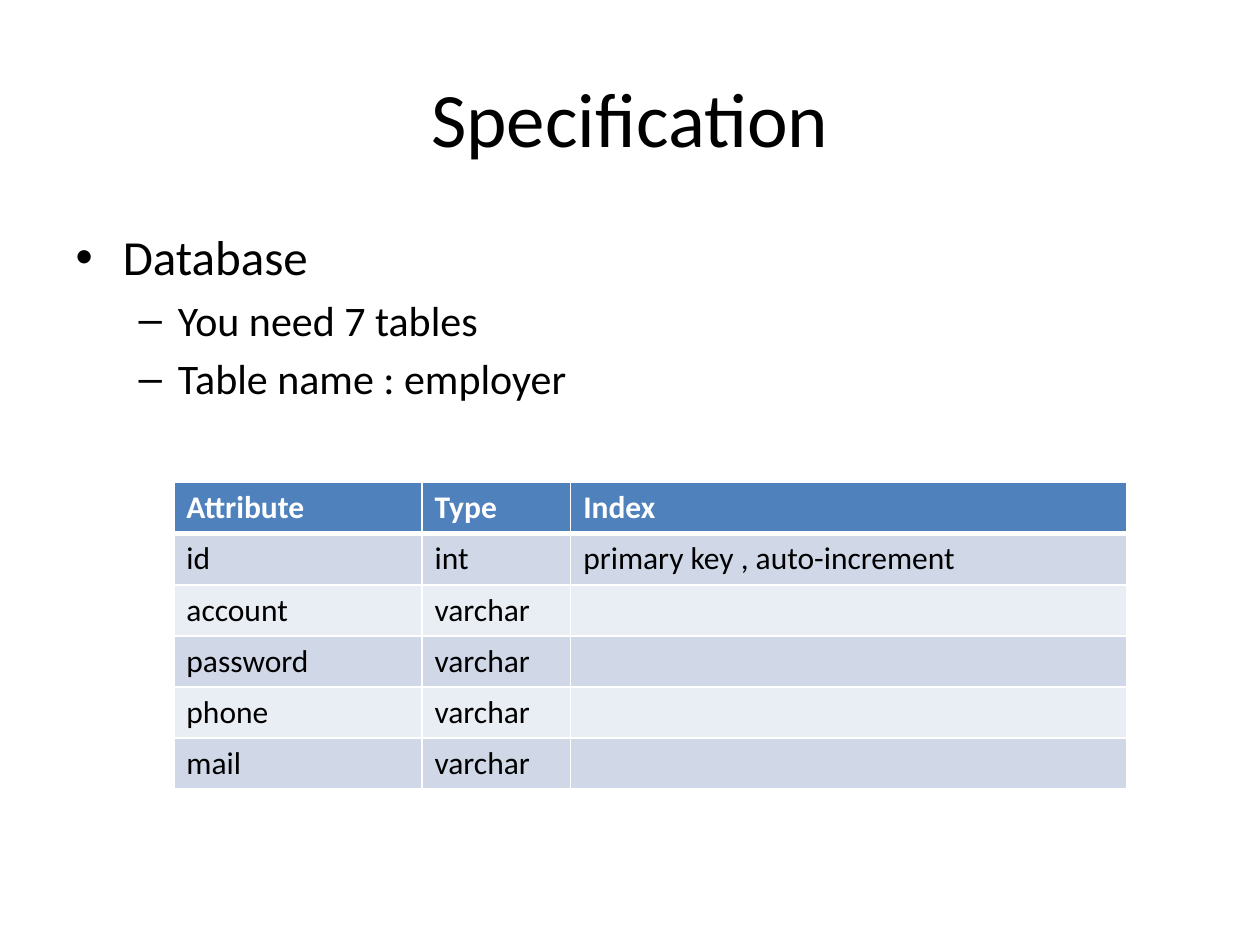
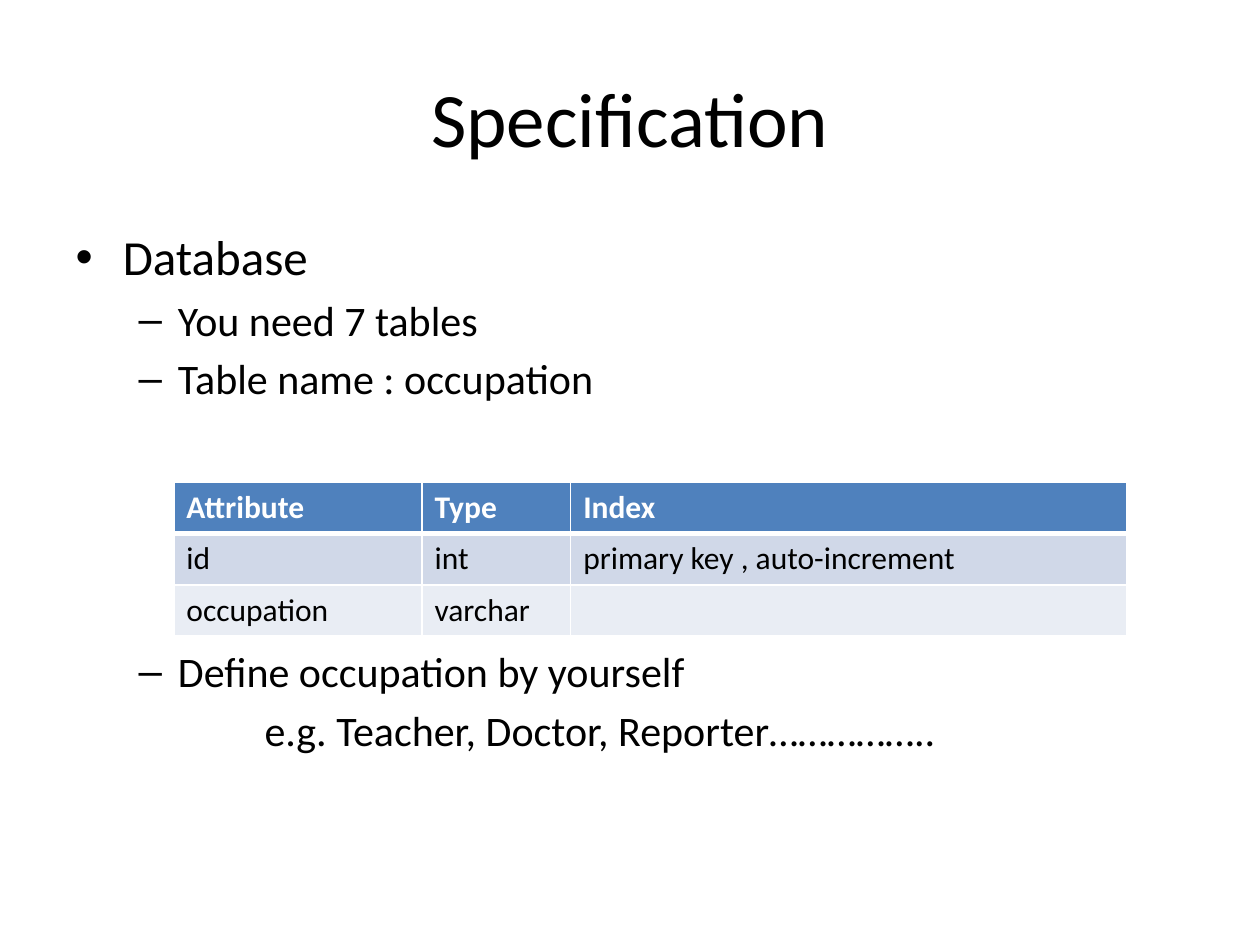
"""Build two specification slides, each describing one database table."""
from lxml import etree
from pptx import Presentation
from pptx.dml.color import RGBColor
from pptx.enum import text as tx
from pptx.oxml import ns
from pptx.util import Pt

FONT = "Calibri"
BLACK, WHITE = "000000", "FFFFFF"
HEADER_BLUE, BANDS = "4F81BD", ("D0D8E8", "E9EDF4")
TITLE_BOX = (36, 21.6, 648, 90)
TABLE_LEFT, TABLE_TOP = 99.36, 275.76
COLUMN_WIDTHS, ROW_HEIGHT = (141.84, 84.96, 317.52), 29.2
HEADINGS = ("Attribute", "Type", "Index")
ID_ROW = ("id", "int", "primary key , auto-increment")
LEVEL_SIZES = (28, 24)

SLIDES = [
    {
        "body_box": (36, 126, 648, 356.4),
        "lines": [("Database", 0, {}), ("You need 7 tables", 1, {}),
                  ("Table name : employer", 1, {})],
        "rows": [ID_ROW] + [(name, "varchar", "") for name in
                            ("account", "password", "phone", "mail")],
    },
    {
        "body_box": (36, 126, 684, 356.4),
        "lines": [("Database", 0, {}), ("You need 7 tables", 1, {}),
                  ("Table name : occupation", 1, {}),
                  ("Define occupation by yourself", 1, {"space_before": Pt(138.7)}),
                  ("e.g. Teacher, Doctor, Reporter……………..", 1, {"margin": 108})],
        "rows": [ID_ROW, ("occupation", "varchar", "")],
    },
]


def colour(code):
    """Turn a hex string into a colour."""
    return RGBColor.from_string(code)


def place(shape, box):
    """Move a shape to a box given in points."""
    for side, length in zip(("left", "top", "width", "height"), box):
        setattr(shape, side, Pt(length))


def style(font, size, code=BLACK, bold=False):
    """Apply the shared font with a size, colour and weight."""
    for attribute, value in {"name": FONT, "size": Pt(size), "bold": bold}.items():
        setattr(font, attribute, value)
    font.color.rgb = colour(code)


def add_title(slide, box, wording):
    """Fill the title placeholder."""
    title = slide.shapes.title
    place(title, box)
    title.text_frame.vertical_anchor = tx.MSO_ANCHOR.MIDDLE
    heading = title.text_frame.paragraphs[0]
    heading.alignment = tx.PP_ALIGN.CENTER
    heading.text = wording
    style(heading.runs[0].font, 44)


def indent_plain(paragraph, margin):
    """Indent a paragraph and take away its bullet."""
    properties = paragraph._p.get_or_add_pPr()
    properties.set("marL", str(Pt(margin)))
    properties.set("indent", "0")
    etree.SubElement(properties, ns.qn("a:buNone"))


def add_list(slide, box, lines):
    """Fill the body placeholder with levelled lines."""
    body = slide.placeholders[1]
    place(body, box)
    frame = body.text_frame
    frame.auto_size = tx.MSO_AUTO_SIZE.NONE
    for index, (wording, level, layout) in enumerate(lines):
        line = frame.add_paragraph() if index else frame.paragraphs[0]
        line.text, line.level = wording, level
        style(line.runs[0].font, LEVEL_SIZES[level])
        if "space_before" in layout:
            line.space_before = layout["space_before"]
        if "margin" in layout:
            indent_plain(line, layout["margin"])


def add_borders(cell, widths):
    """Draw white borders with a width for each side."""
    properties = cell._tc.get_or_add_tcPr()
    for side, width in widths.items():
        border = etree.SubElement(properties, ns.qn(f"a:ln{side}"), w=str(Pt(width)))
        fill = etree.SubElement(border, ns.qn("a:solidFill"))
        etree.SubElement(fill, ns.qn("a:srgbClr"), val=WHITE)


def add_schema(slide, left, top, rows):
    """Add the table of attributes under its header row."""
    records = [HEADINGS] + rows
    schema = slide.shapes.add_table(
        len(records), len(HEADINGS), Pt(left), Pt(top),
        Pt(sum(COLUMN_WIDTHS)), Pt(ROW_HEIGHT * len(records))).table
    for column, width in zip(schema.columns, COLUMN_WIDTHS):
        column.width = Pt(width)
    for r, record in enumerate(records):
        schema.rows[r].height = Pt(ROW_HEIGHT)
        header = r == 0
        for c, wording in enumerate(record):
            cell = schema.cell(r, c)
            add_borders(cell, {"L": 1, "R": 1, "T": 3 if r == 1 else 1,
                               "B": 3 if header else 1})
            cell.fill.solid()
            cell.fill.fore_color.rgb = colour(HEADER_BLUE if header else BANDS[(r - 1) % 2])
            cell.text = wording
            style(cell.text_frame.paragraphs[0].font, 18,
                  WHITE if header else BLACK, header)
            for run in cell.text_frame.paragraphs[0].runs:
                style(run.font, 18, WHITE if header else BLACK, header)


def add_specification(deck, content):
    """Add one specification slide."""
    slide = deck.slides.add_slide(deck.slide_layouts[1])
    add_title(slide, TITLE_BOX, "Specification")
    add_list(slide, content["body_box"], content["lines"])
    add_schema(slide, TABLE_LEFT, TABLE_TOP, content["rows"])


def main():
    """Build and save the deck."""
    deck = Presentation()
    deck.slide_width, deck.slide_height = Pt(720), Pt(540)
    for content in SLIDES:
        add_specification(deck, content)
    deck.save("out.pptx")


main()
